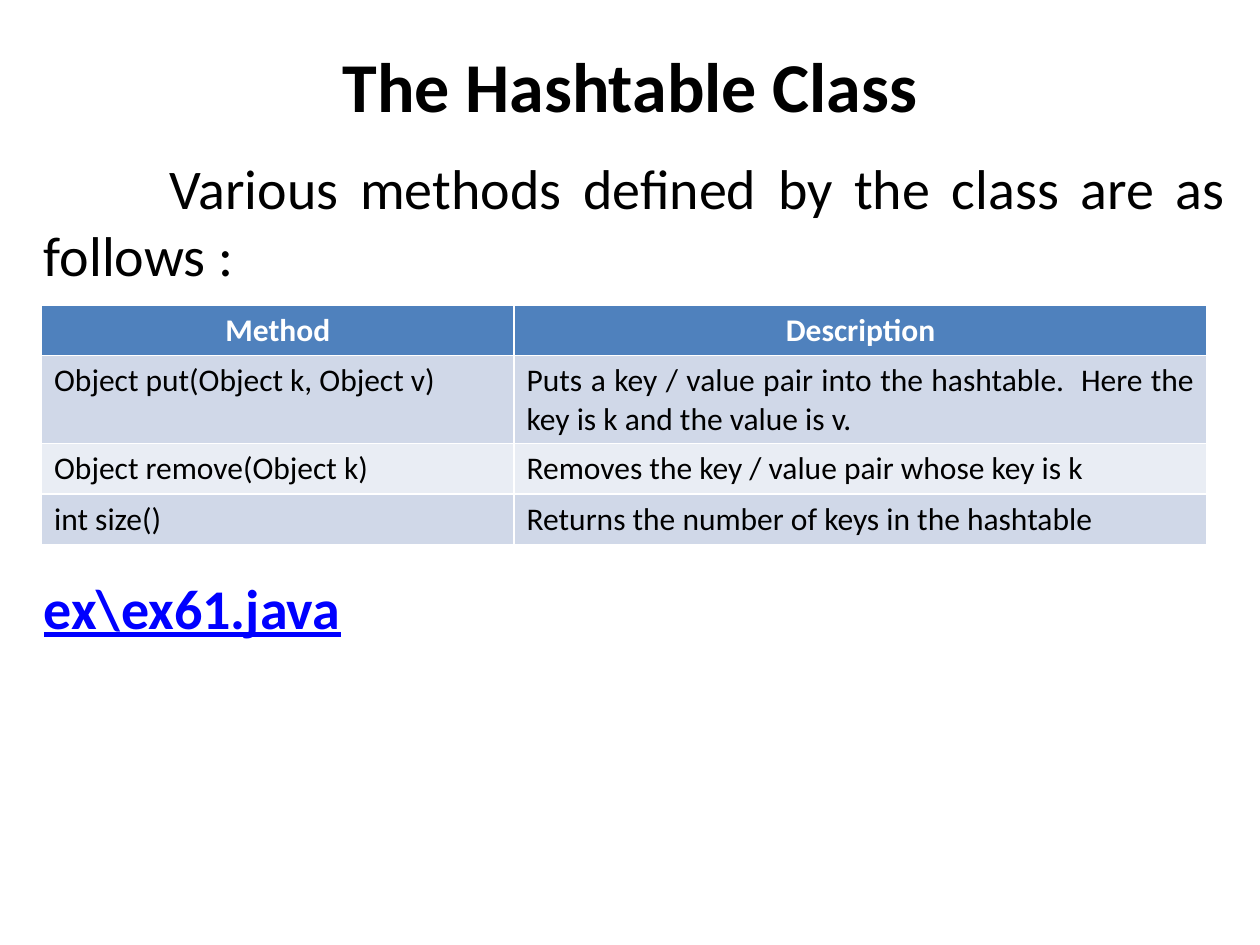
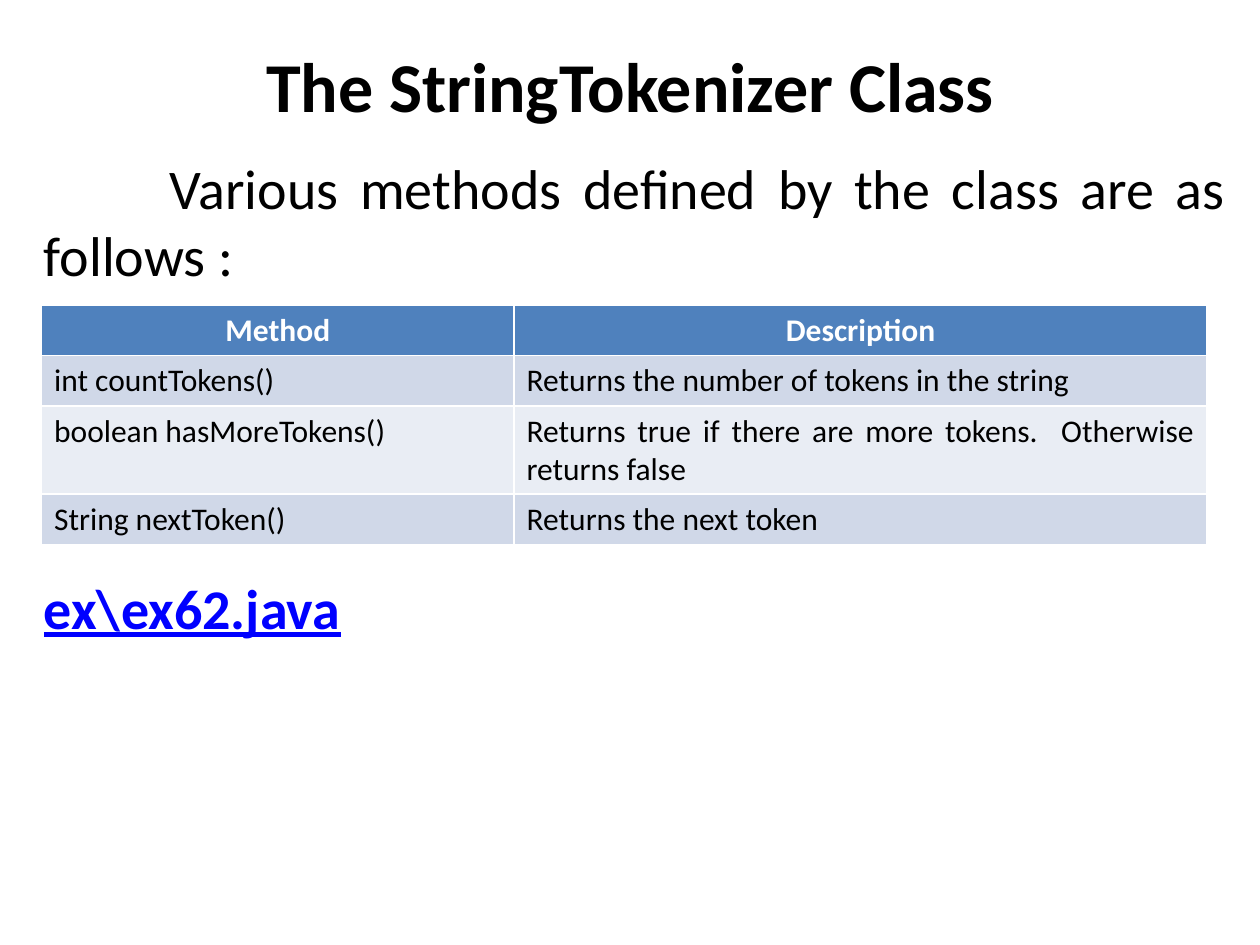
from dataclasses import dataclass

from pptx import Presentation
from pptx.dml.color import RGBColor
from pptx.enum.text import MSO_ANCHOR, PP_ALIGN
from pptx.util import Inches, Pt


@dataclass(frozen=True)
class Theme:
    font: str = "Calibri"
    text: str = "000000"
    link: str = "0000FF"
    header_text: str = "FFFFFF"
    header_fill: str = "4F81BD"
    row_fills: tuple = ("D0D8E8", "E9EDF4")
    title_size: int = 40
    body_size: int = 32
    table_size: int = 18


THEME = Theme()
INTRO = "Various methods defined by the class are as follows :"
HEADER = ("Method", "Description")
COLUMN_WIDTHS = (3.75, 5.5)
ROW_HEIGHT = 0.4

CLASSES = [
    (
        "The Hashtable Class",
        [
            ("Object put(Object k, Object v)",
             "Puts a key / value pair into the hashtable.  Here the key is k and the value is v."),
            ("Object remove(Object k)", "Removes the key / value pair whose key is k"),
            ("int size()", "Returns the number of keys in the hashtable"),
        ],
        "ex\\ex61.java",
    ),
    (
        "The StringTokenizer Class",
        [
            ("int countTokens()", "Returns the number of tokens in the string"),
            ("boolean hasMoreTokens()",
             "Returns true if there are more tokens.  Otherwise returns false"),
            ("String nextToken()", "Returns the next token"),
        ],
        "ex\\ex62.java",
    ),
]


def write_text(text_frame, text, size, color, alignment, bold=False, underline=False):
    text_frame.text = text
    text_frame.word_wrap = True
    paragraph = text_frame.paragraphs[0]
    paragraph.alignment = alignment
    font = paragraph.runs[0].font
    font.name = THEME.font
    font.size = Pt(size)
    font.bold = bold
    font.underline = underline
    font.color.rgb = RGBColor.from_string(color)
    return paragraph


def add_body_text(slide, top, height, text, color, **style):
    box = slide.shapes.add_textbox(Inches(0.25), Inches(top), Inches(9.58), Inches(height))
    return write_text(box.text_frame, text, THEME.body_size, color, PP_ALIGN.JUSTIFY, **style)


presentation = Presentation()
presentation.slide_width = Inches(10)
presentation.slide_height = Inches(7.5)
title_only_layout = presentation.slide_layouts[5]

for class_title, methods, example_file in CLASSES:
    slide = presentation.slides.add_slide(title_only_layout)

    title = slide.shapes.title
    title.left, title.top = Inches(0), Inches(0.17)
    title.width, title.height = Inches(10), Inches(1)
    title.text_frame.vertical_anchor = MSO_ANCHOR.MIDDLE
    write_text(title.text_frame, class_title, THEME.title_size, THEME.text,
               PP_ALIGN.CENTER, bold=True)

    intro = add_body_text(slide, 1.17, 1.18, INTRO, THEME.text)
    intro._p.get_or_add_pPr().set("indent", str(Inches(1)))

    rows = [HEADER, *methods]
    table = slide.shapes.add_table(
        len(rows), len(HEADER), Inches(0.33), Inches(2.42),
        Inches(sum(COLUMN_WIDTHS)), Inches(ROW_HEIGHT * len(rows)),
    ).table
    for column, width in zip(table.columns, COLUMN_WIDTHS):
        column.width = Inches(width)

    for row_index, row in enumerate(rows):
        is_header = row_index == 0
        fill = THEME.header_fill if is_header else THEME.row_fills[(row_index - 1) % 2]
        color = THEME.header_text if is_header else THEME.text
        alignment = PP_ALIGN.CENTER if is_header else PP_ALIGN.JUSTIFY
        for column_index, text in enumerate(row):
            cell = table.cell(row_index, column_index)
            cell.fill.solid()
            cell.fill.fore_color.rgb = RGBColor.from_string(fill)
            write_text(cell.text_frame, text, THEME.table_size, color, alignment, bold=is_header)

    add_body_text(slide, 4.5, 0.64, example_file, THEME.link, bold=True, underline=True)

presentation.save("out.pptx")
